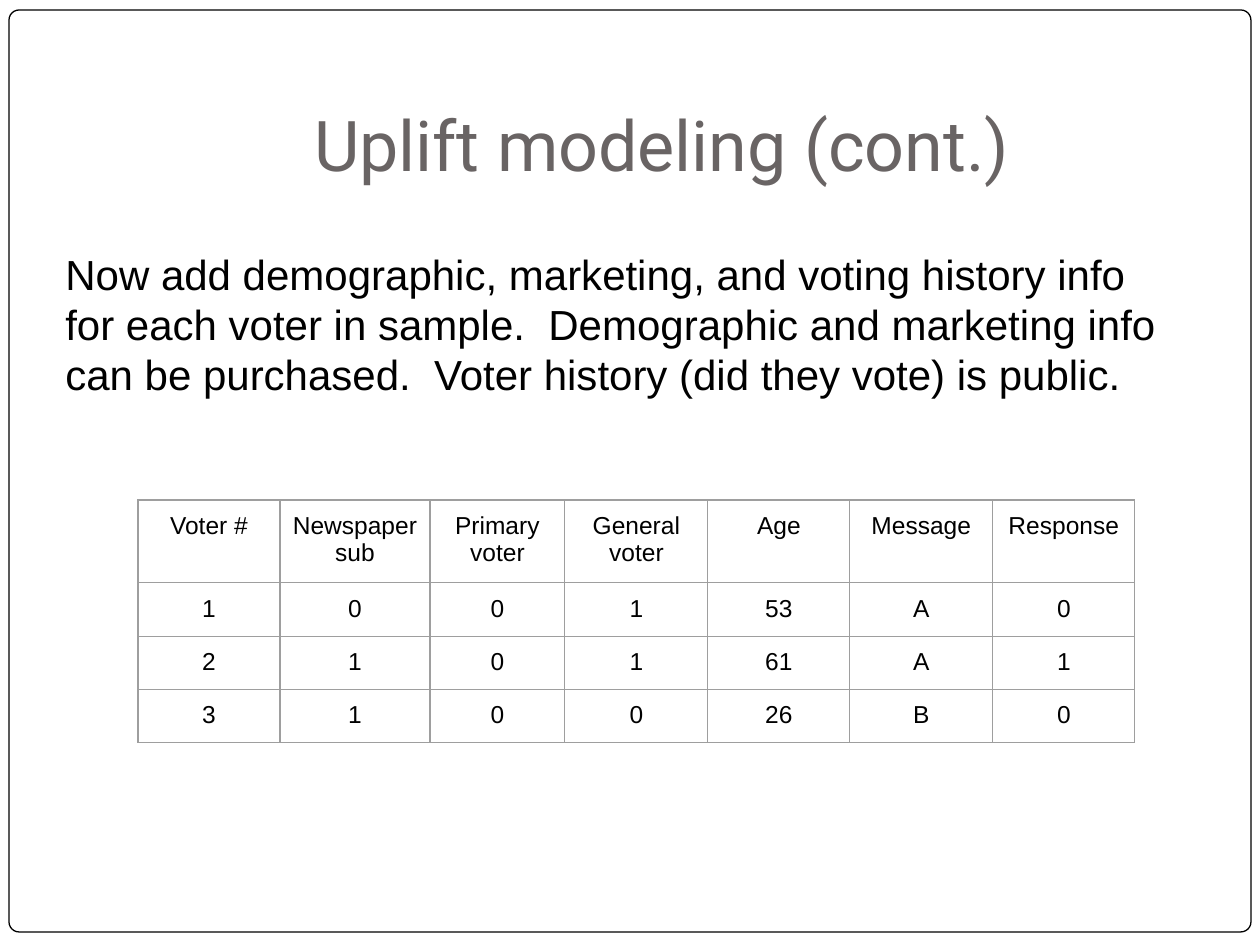
from lxml import etree
from pptx import Presentation
from pptx import util as u
from pptx.dml.color import RGBColor
from pptx.enum import shapes, text
from pptx.oxml.ns import qn

SCALE = 914400 / 126
COLORS = {"paper": "FFFFFF", "ink": "000000", "title": "696464", "grid": "9E9E9E"}
BODY = (
    "Now add demographic, marketing, and voting history info for each voter in sample.  "
    "Demographic and marketing info can be purchased.  "
    "Voter history (did they vote) is public."
)
VOTERS = [
    ["Voter #", "Newspaper sub", "Primary voter", "General voter", "Age", "Message", "Response"],
    ["1", "0", "0", "1", "53", "A", "0"],
    ["2", "1", "0", "1", "61", "A", "1"],
    ["3", "1", "0", "0", "26", "B", "0"],
]
COLUMN_WIDTHS = [142, 150, 135, 143, 142, 143, 142]
ROW_HEIGHTS = [80, 53, 53, 53]
CELL_MARGIN = 12


def px(length):
    return u.Emu(round(length * SCALE))


def color(name):
    return RGBColor.from_string(COLORS[name])


def write(frame, content, size, font, ink, align):
    frame.text = content
    for paragraph in frame.paragraphs:
        paragraph.alignment = align
        for run in paragraph.runs:
            run.font.size = u.Pt(size)
            run.font.name = font
            run.font.color.rgb = color(ink)


def add_frame(slide, box):
    shape = slide.shapes.add_shape(shapes.MSO_SHAPE.ROUNDED_RECTANGLE, *map(px, box))
    shape.adjustments[0] = 0.011
    shape.shadow.inherit = False
    shape.fill.solid()
    shape.fill.fore_color.rgb = color("paper")
    shape.line.color.rgb = color("ink")
    shape.line.width = u.Pt(0.75)


def add_text(slide, box, content, size, font, ink, align, anchor):
    frame = slide.shapes.add_textbox(*map(px, box)).text_frame
    frame.word_wrap = True
    frame.vertical_anchor = anchor
    write(frame, content, size, font, ink, align)
    return frame


def set_borders(cell):
    properties = cell._tc.get_or_add_tcPr()
    for position, side in enumerate(("a:lnL", "a:lnR", "a:lnT", "a:lnB")):
        line = etree.Element(qn(side), w=str(u.Pt(0.75)))
        fill = etree.SubElement(line, qn("a:solidFill"))
        etree.SubElement(fill, qn("a:srgbClr"), val=COLORS["grid"])
        properties.insert(position, line)


def format_cell(cell, content):
    cell.margin_left = cell.margin_right = px(CELL_MARGIN)
    cell.margin_top = cell.margin_bottom = px(CELL_MARGIN)
    cell.fill.background()
    set_borders(cell)
    write(cell.text_frame, content, 14, "Arial", "ink", text.PP_ALIGN.CENTER)


def add_voter_table(slide, left, top):
    box = (left, top, sum(COLUMN_WIDTHS), sum(ROW_HEIGHTS))
    table = slide.shapes.add_table(len(VOTERS), len(VOTERS[0]), *map(px, box)).table
    table.first_row = table.horz_banding = False
    for column, width in zip(table.columns, COLUMN_WIDTHS):
        column.width = px(width)
    for row, height, values in zip(table.rows, ROW_HEIGHTS, VOTERS):
        row.height = px(height)
        for cell, value in zip(row.cells, values):
            format_cell(cell, value)


def main():
    presentation = Presentation()
    presentation.slide_width, presentation.slide_height = px(1260), px(945)
    slide = presentation.slides.add_slide(presentation.slide_layouts[6])
    add_frame(slide, (9, 10, 1242, 922))
    title = add_text(slide, (126, 63, 1071, 136), "Uplift modeling (cont.)", 40, "Roboto",
                     "title", text.PP_ALIGN.CENTER, text.MSO_ANCHOR.BOTTOM)
    title.margin_bottom = px(13)
    add_text(slide, (53, 242, 1134, 217), BODY, 24, "Arial",
             "ink", text.PP_ALIGN.LEFT, text.MSO_ANCHOR.TOP)
    add_voter_table(slide, 138, 500)
    presentation.save("out.pptx")


if __name__ == "__main__":
    main()
